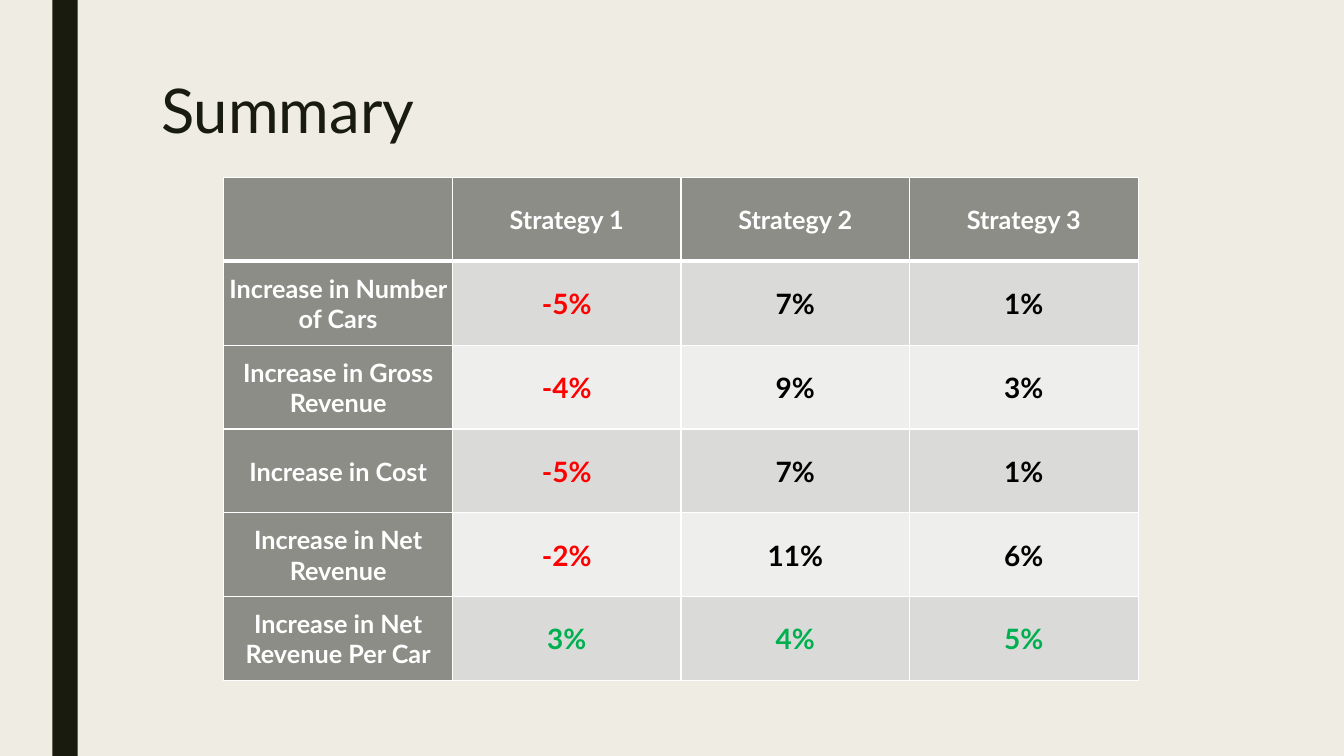
from lxml.etree import SubElement
from pptx import Presentation
from pptx.dml.color import RGBColor
from pptx.enum.shapes import MSO_SHAPE
from pptx.enum.text import MSO_ANCHOR, PP_ALIGN
from pptx.oxml.ns import qn
from pptx.util import Inches, Pt

CREAM = RGBColor(0xEF, 0xED, 0xE3)
INK = RGBColor(0x19, 0x1B, 0x0E)
HEADER_GRAY = RGBColor(0x8C, 0x8D, 0x86)
BAND_DARK = RGBColor(0xDA, 0xDB, 0xD9)
BAND_LIGHT = RGBColor(0xEE, 0xEE, 0xED)
WHITE = RGBColor(0xFF, 0xFF, 0xFF)
BLACK = RGBColor(0x00, 0x00, 0x00)
RED = RGBColor(0xFF, 0x00, 0x00)
GREEN = RGBColor(0x00, 0xB0, 0x50)

RESULTS = [
    ["", "Strategy 1", "Strategy 2", "Strategy 3"],
    ["Increase in Number of Cars", "-5%", "7%", "1%"],
    ["Increase in Gross Revenue", "-4%", "9%", "3%"],
    ["Increase in Cost", "-5%", "7%", "1%"],
    ["Increase in Net Revenue", "-2%", "11%", "6%"],
    ["Increase in Net Revenue Per Car", "3%", "4%", "5%"],
]


def grid(units):
    """Length of grid units; ten columns or rows make an inch."""
    return Inches(units / 10)


class SlideBuilder:
    font_name = "Lato"

    def __init__(self, slide):
        self.slide = slide
        background = slide.background.fill
        background.solid()
        background.fore_color.rgb = CREAM

    def add_run(self, paragraph, text, size, color, bold=False):
        run = paragraph.add_run()
        run.text = text
        font = run.font
        font.name, font.size, font.bold = self.font_name, Pt(size), bold
        font.color.rgb = color

    def add_bar(self, column, row, width, height):
        shape = self.slide.shapes.add_shape(
            MSO_SHAPE.RECTANGLE, *map(grid, (column, row, width, height)))
        shape.shadow.inherit = False
        shape.fill.solid()
        shape.fill.fore_color.rgb = INK
        shape.line.fill.background()

    def add_title(self, text, column, row, width, height):
        box = self.slide.shapes.add_textbox(*map(grid, (column, row, width, height)))
        box.text_frame.word_wrap = True
        paragraph = box.text_frame.paragraphs[0]
        paragraph.line_spacing = 0.89
        self.add_run(paragraph, text, 44, INK)

    def add_borders(self, cell, row):
        properties = cell._tc.get_or_add_tcPr()
        widths = {"L": 1, "R": 1, "T": 3 if row == 1 else 1, "B": 3 if row == 0 else 1}
        for side, width in widths.items():
            line = SubElement(properties, qn(f"a:ln{side}"), w=str(Pt(width)))
            fill = SubElement(line, qn("a:solidFill"))
            SubElement(fill, qn("a:srgbClr"), val=str(WHITE))

    def add_cell(self, cell, text, row, column, last_row):
        self.add_borders(cell, row)
        is_header = row == 0 or column == 0
        cell.fill.solid()
        if is_header:
            cell.fill.fore_color.rgb = HEADER_GRAY
            size, color = 18, WHITE
        else:
            cell.fill.fore_color.rgb = BAND_DARK if row % 2 else BAND_LIGHT
            size = 20
            color = RED if text.startswith("-") else GREEN if row == last_row else BLACK
        cell.vertical_anchor = MSO_ANCHOR.MIDDLE
        cell.margin_left = cell.margin_right = cell.margin_top = Inches(0.01)
        cell.margin_bottom = 0
        paragraph = cell.text_frame.paragraphs[0]
        paragraph.alignment = PP_ALIGN.CENTER
        if text:
            self.add_run(paragraph, text, size, color, bold=True)

    def add_table(self, values, column, row, column_width, row_height):
        row_count, column_count = len(values), len(values[0])
        table = self.slide.shapes.add_table(
            row_count, column_count, grid(column), grid(row),
            grid(column_width * column_count), grid(row_height * row_count)).table
        for table_column in table.columns:
            table_column.width = grid(column_width)
        for table_row in table.rows:
            table_row.height = grid(row_height)
        for row_index, texts in enumerate(values):
            for column_index, text in enumerate(texts):
                self.add_cell(table.cell(row_index, column_index), text,
                              row_index, column_index, row_count - 1)


def main():
    presentation = Presentation()
    presentation.slide_width, presentation.slide_height = Inches(13.33), Inches(7.5)
    builder = SlideBuilder(presentation.slides.add_slide(presentation.slide_layouts[6]))
    builder.add_bar(5.2, 0, 2.5, 75)
    builder.add_title("Summary", 15, 7.5, 105, 16.2)
    builder.add_table(RESULTS, 22.2, 17.6, 22.67, 8.32)
    presentation.save("out.pptx")


if __name__ == "__main__":
    main()
